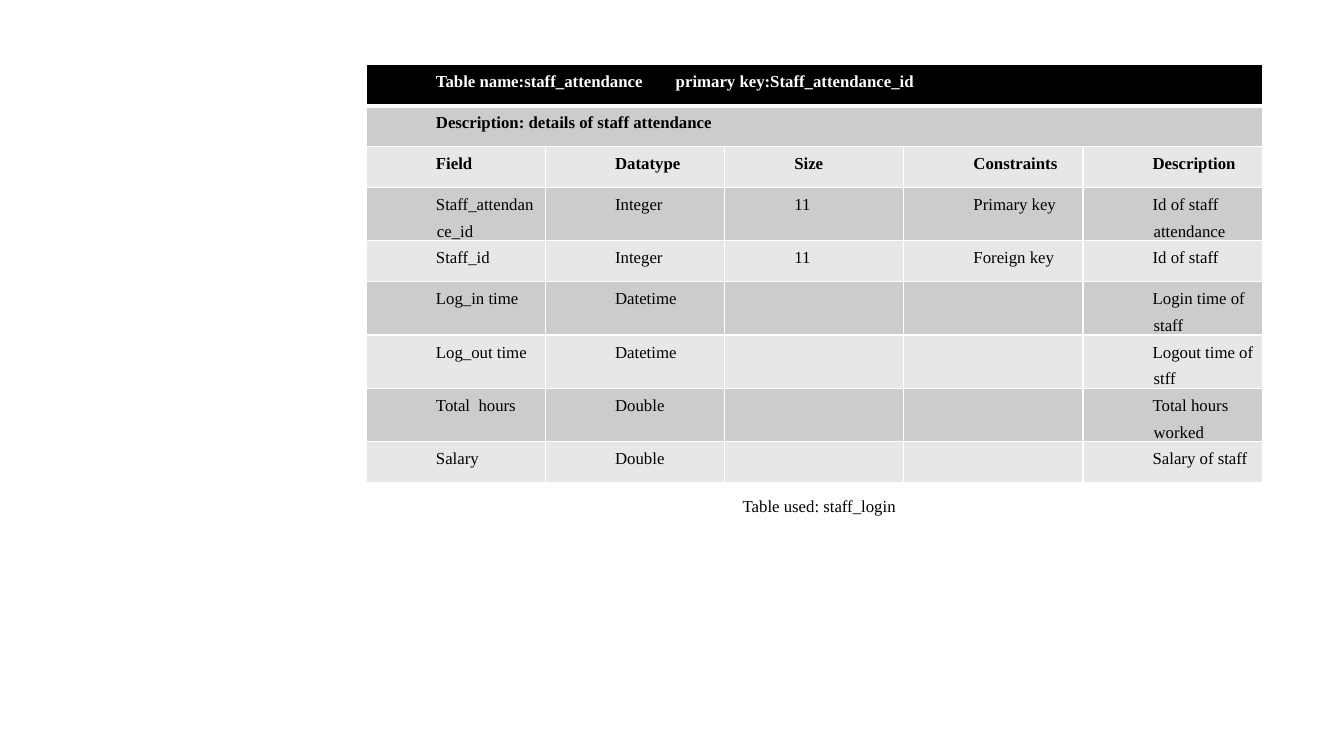
import pptx
import pptx.util
import pptx.dml.color
import pptx.enum.text
import pptx.oxml
import pptx.oxml.ns

Pt = pptx.util.Pt

COLORS = {"white": "FFFFFF", "black": "000000", "dark_band": "CCCCCC", "light_band": "E7E7E7"}

HEADING = "Table name:staff_attendance\tprimary key:Staff_attendance_id"
SUMMARY = "Description: details of staff attendance"
FIELDS = [
    ("Field", "Datatype", "Size", "Constraints", "Description"),
    ("Staff_attendance_id", "Integer", "11", "Primary key", "Id of staff attendance"),
    ("Staff_id", "Integer", "11", "Foreign key", "Id of staff"),
    ("Log_in time", "Datetime", "", "", "Login time of staff"),
    ("Log_out time", "Datetime", "", "", "Logout time of stff"),
    ("Total  hours", "Double", "", "", "Total hours worked"),
    ("Salary", "Double", "", "", "Salary of staff"),
]


class SchemaSlide:
    font = "Times New Roman"
    size = 12
    line_spacing = 1.43

    def __init__(self, slide):
        self.slide = slide

    def color(self, name):
        return pptx.dml.color.RGBColor.from_string(COLORS[name])

    def add_text(self, paragraph, text, color="black", bold=False):
        run = paragraph.add_run()
        run.text = text
        run.font.name = self.font
        run.font.size = Pt(self.size)
        run.font.bold = bold
        run.font.color.rgb = self.color(color)

    def indent(self, paragraph, left, first, tab=None):
        properties = paragraph._p.get_or_add_pPr()
        properties.set("marL", str(Pt(left)))
        properties.set("indent", str(Pt(first)))
        if tab:
            properties.append(pptx.oxml.parse_xml(
                f'<a:tabLst {pptx.oxml.ns.nsdecls("a")}>'
                f'<a:tab pos="{Pt(tab)}" algn="l"/></a:tabLst>'))
        paragraph.line_spacing = self.line_spacing

    def border(self, cell, bottom=1, top=1):
        properties = cell._tc.get_or_add_tcPr()
        for side, width in (("L", 1), ("R", 1), ("T", top), ("B", bottom)):
            properties.append(pptx.oxml.parse_xml(
                f'<a:ln{side} {pptx.oxml.ns.nsdecls("a")} w="{Pt(width)}"><a:solidFill>'
                f'<a:srgbClr val="{COLORS["white"]}"/></a:solidFill></a:ln{side}>'))

    def fill_cell(self, cell, text, color="black", bold=False, left=45.4, first=-0.7, tab=None):
        if not text:
            return
        cell.margin_left = cell.margin_right = Pt(5)
        cell.margin_top = cell.margin_bottom = Pt(0)
        paragraph = cell.text_frame.paragraphs[0]
        self.indent(paragraph, left, first, tab)
        self.add_text(paragraph, text, color, bold)

    def table(self, left, top, column_width, row_height):
        rows, columns = len(FIELDS) + 2, len(FIELDS[0])
        table = self.slide.shapes.add_table(
            rows, columns, Pt(left), Pt(top),
            Pt(column_width * columns), Pt(row_height * rows)).table
        table.first_row = table.horz_banding = False

        # Banding and borders, with a thicker rule under the heading
        for index, row in enumerate(table.rows):
            band = "black" if index == 0 else "dark_band" if index % 2 else "light_band"
            for cell in row.cells:
                self.border(cell, bottom=1 if index else 3, top=3 if index == 1 else 1)
                cell.fill.solid()
                cell.fill.fore_color.rgb = self.color(band)

        # Full-width heading and summary
        for index in range(2):
            table.cell(index, 0).merge(table.cell(index, columns - 1))
        self.fill_cell(table.cell(0, 0), HEADING, "white", True, left=0, first=44.7, tab=294)
        self.fill_cell(table.cell(1, 0), SUMMARY, bold=True)

        # Field definitions
        for index, field in enumerate(FIELDS):
            for column, text in enumerate(field):
                self.fill_cell(table.cell(index + 2, column), text, bold=index == 0)

    def caption(self, text, left, top, width, height):
        frame = self.slide.shapes.add_textbox(Pt(left), Pt(top), Pt(width), Pt(height)).text_frame
        frame.word_wrap = False
        frame.auto_size = pptx.enum.text.MSO_AUTO_SIZE.SHAPE_TO_FIT_TEXT
        self.add_text(frame.paragraphs[0], text)


def main():
    deck = pptx.Presentation()
    deck.slide_width, deck.slide_height = Pt(960), Pt(540)
    page = SchemaSlide(deck.slides.add_slide(deck.slide_layouts[6]))

    # Attendance table
    page.table(left=261.7, top=46.3, column_width=128, row_height=29.2)

    # Caption below the table
    page.caption("Table used: staff_login", left=523.4, top=350.9, width=125.3, height=21.6)

    deck.save("out.pptx")


if __name__ == "__main__":
    main()
